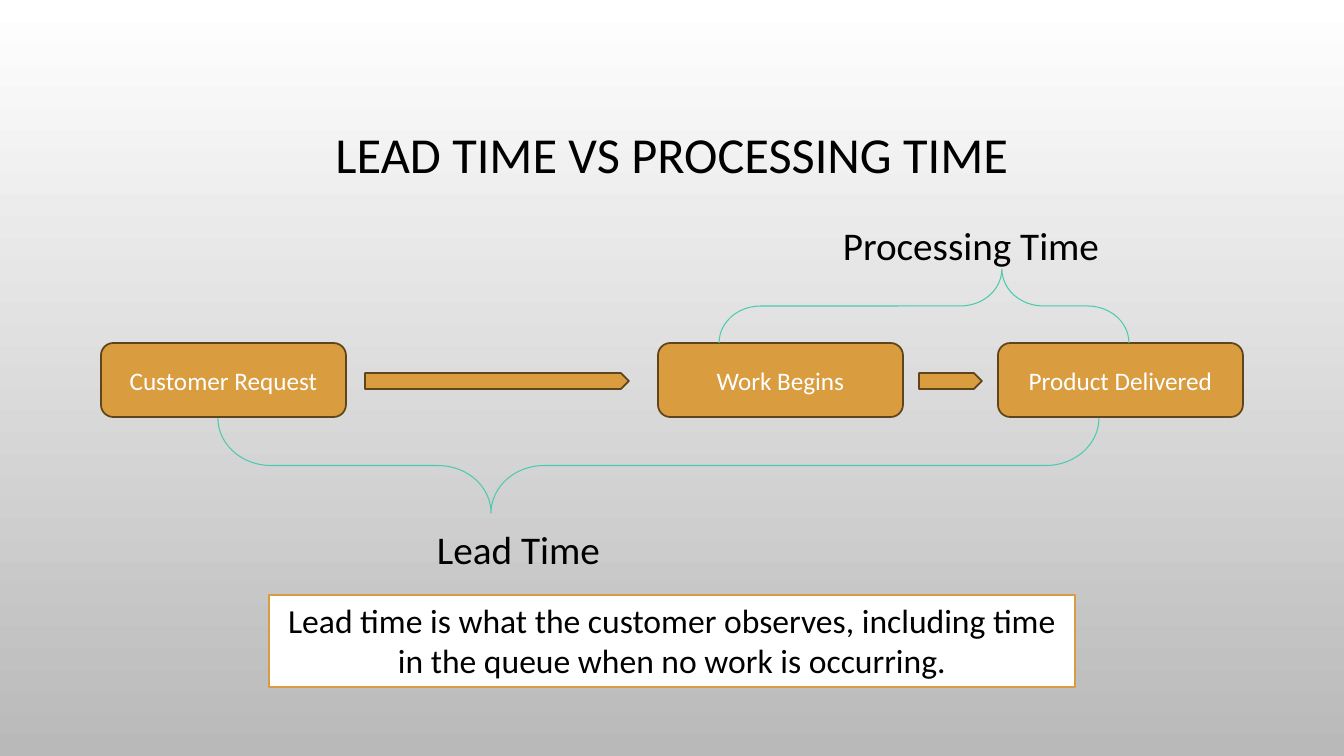
"""Build the lead time versus processing time slide."""
from pptx import Presentation, util as u
from pptx.dml.color import RGBColor
from pptx.enum import shapes, text

PX = 914400 / 100.8
COLORS = {"amber": "D99C3F", "brown": "5F441C", "teal": "4BCAAD",
          "white": "FFFFFF", "gray": "B9B9B9", "black": "000000"}
KIND = shapes.MSO_SHAPE
CENTER = text.PP_ALIGN.CENTER


def add_shape(s, kind, box, fill, line, width=1.25):
    sp = s.shapes.add_shape(kind, *[round(v * PX) for v in box])
    sp.shadow.inherit = False
    if fill:
        sp.fill.solid()
        sp.fill.fore_color.rgb = RGBColor.from_string(COLORS[fill])
    else:
        sp.fill.background()
    sp.line.color.rgb = RGBColor.from_string(COLORS[line])
    sp.line.width = u.Pt(width)
    return sp


def write(sp, words, size, color="black", align=None, anchor=text.MSO_ANCHOR.TOP):
    tf = sp.text_frame
    tf.word_wrap = True
    tf.vertical_anchor = anchor
    p = tf.paragraphs[0]
    p.alignment = align
    r = p.add_run()
    r.text = words
    r.font.size = u.Pt(size)
    r.font.name = "Calibri"
    r.font.color.rgb = RGBColor.from_string(COLORS[color])
    return p


prs = Presentation()
prs.slide_width = round(1344 * PX)
prs.slide_height = round(756 * PX)
s = prs.slides.add_slide(prs.slide_layouts[5])

bg = s.background.fill
bg.gradient()
bg.gradient_angle = 270
for stop, position, name in zip(bg.gradient_stops, (0, 1), ("white", "gray")):
    stop.position = position
    stop.color.rgb = RGBColor.from_string(COLORS[name])

title = s.shapes.title
title.left, title.top, title.width, title.height = [
    round(v * PX) for v in (101, 69, 1142, 176)]
p = write(title, "LEAD TIME VS PROCESSING TIME", 36, align=CENTER,
          anchor=text.MSO_ANCHOR.MIDDLE)
p.line_spacing = 0.9

for left, step in ((101, "Customer Request"), (658, "Work Begins"),
                   (998, "Product Delivered")):
    sp = add_shape(s, KIND.ROUNDED_RECTANGLE, (left, 343, 245, 74), "amber", "brown")
    write(sp, step, 18, "white", CENTER, text.MSO_ANCHOR.MIDDLE)

for box, rotation in (((611, 25, 95, 881), 270), ((887, 101, 74, 410), 90)):
    brace = add_shape(s, KIND.LEFT_BRACE, box, None, "teal", 0.75)
    brace.rotation = rotation
    brace.adjustments[0] = 0.56
    brace.adjustments[1] = 0.31

for left, width in ((365, 264), (919, 63)):
    add_shape(s, KIND.PENTAGON, (left, 373, width, 16), "amber", "brown")

for box, label in (((833, 216, 299, 57), "Processing Time"),
                   ((427, 520, 226, 57), "Lead Time")):
    sp = s.shapes.add_textbox(*[round(v * PX) for v in box])
    write(sp, label, 28)
    sp.text_frame.auto_size = text.MSO_AUTO_SIZE.SHAPE_TO_FIT_TEXT

note = add_shape(s, KIND.RECTANGLE, (269, 595, 806, 92), "white", "amber")
write(note, "Lead time is what the customer observes, including time in the queue "
      "when no work is occurring.", 24, align=CENTER)
note.text_frame.auto_size = text.MSO_AUTO_SIZE.SHAPE_TO_FIT_TEXT

prs.save("out.pptx")
